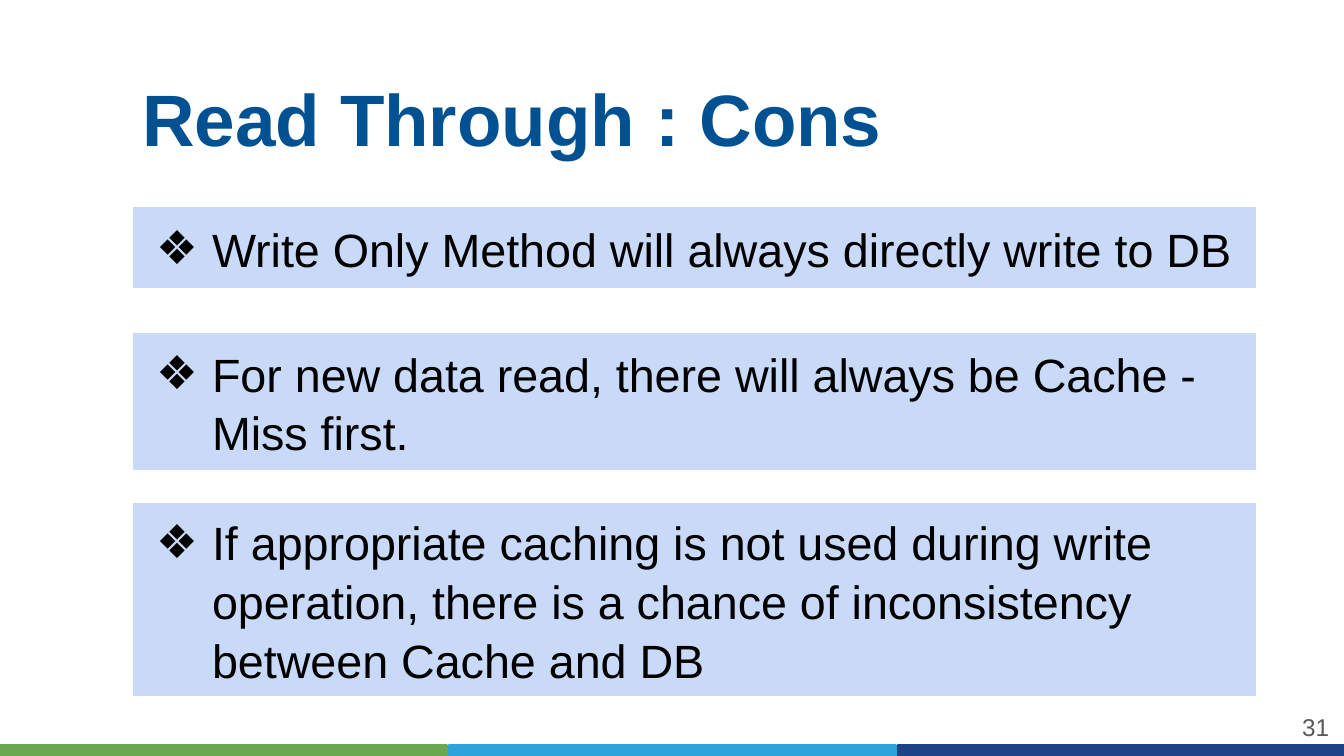
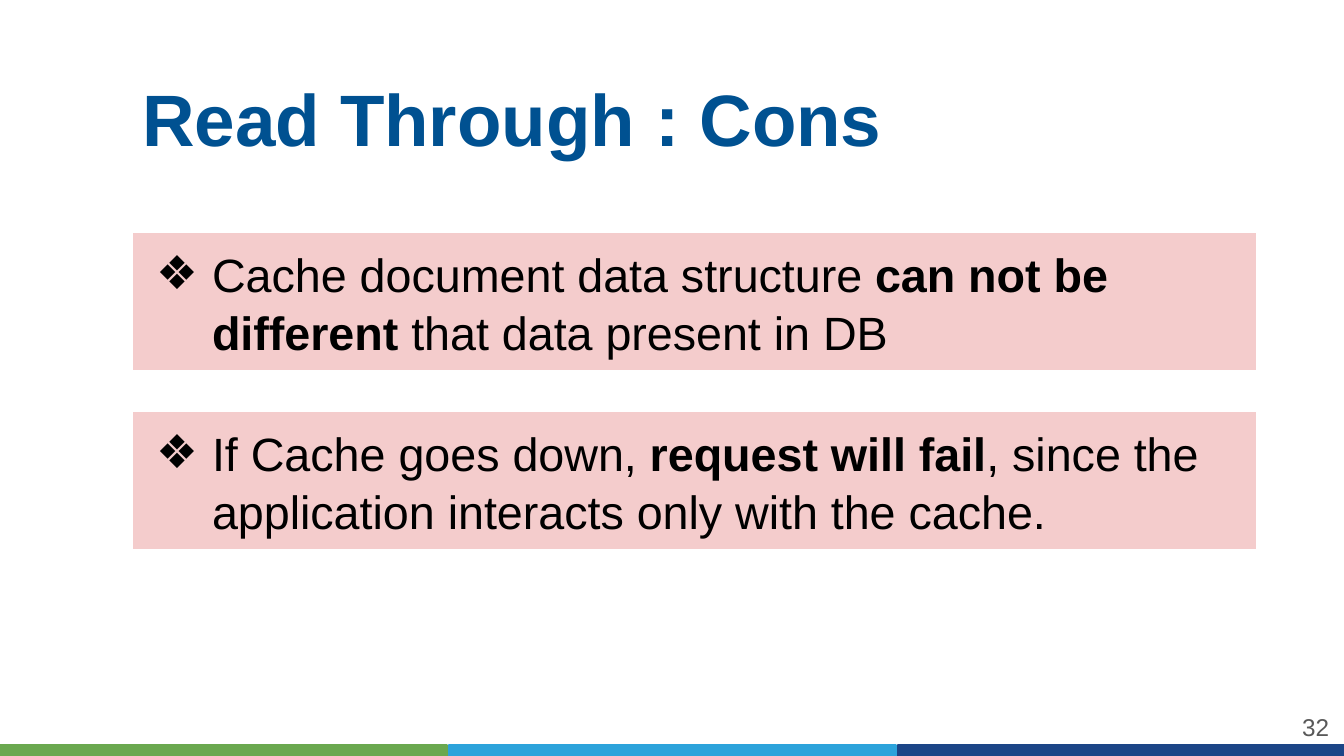
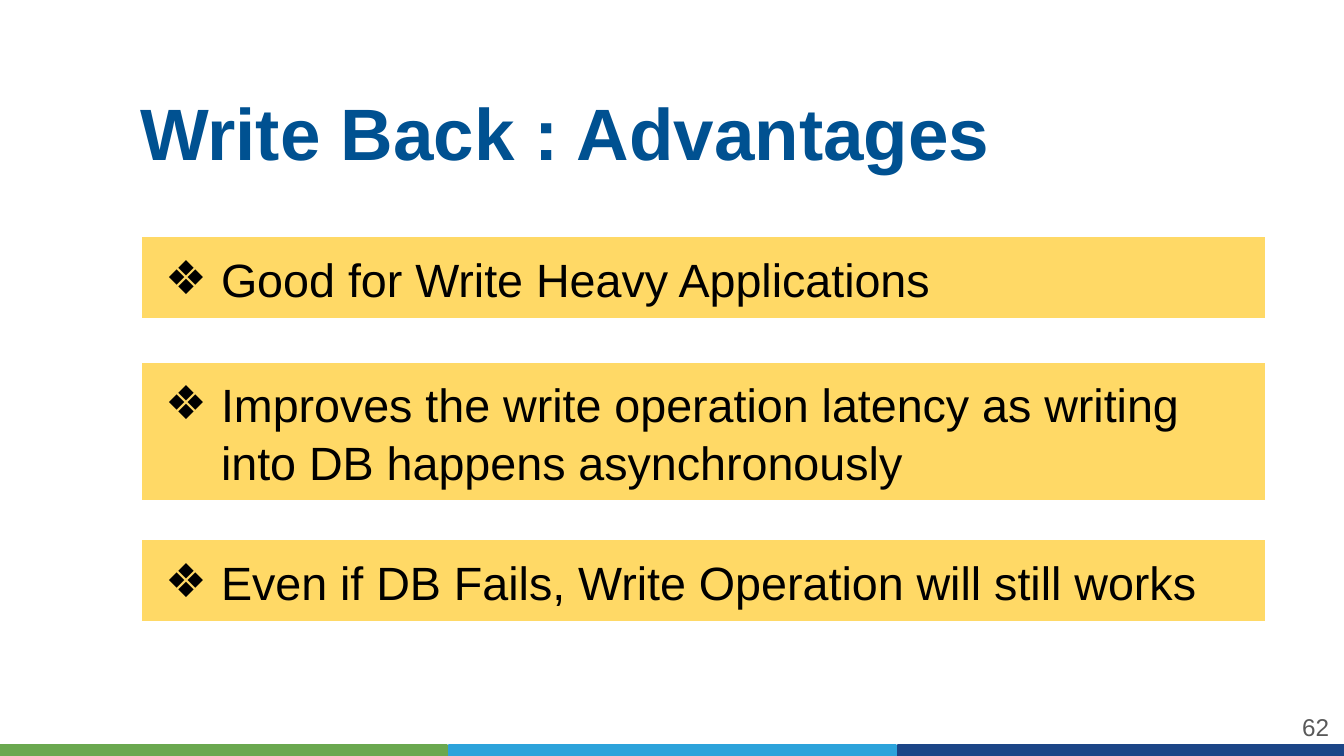
import lxml.etree
import pptx
import pptx.dml.color
import pptx.enum.shapes
import pptx.enum.text
import pptx.oxml.ns
import pptx.util

EMU_PER_PX = 914400 / 134.4
WIDTH, HEIGHT = 1344, 756
FONT = "Arial"
TITLE_COLOR, TEXT_COLOR, NUMBER_COLOR, WHITE = "005191", "000000", "595959", "FFFFFF"
BAR_COLORS = ["6AA84F", "2CA3DB", "1C4587"]
BAR_STEP, BAR_GAP, BAR_TOP = 449, 2, 745
POINT_WIDTH, POINT_PADDING, LINE_HEIGHT = 1125, 27, 56

SLIDES = [
    ("31", "Read Through : Cons", (132, 63), 132, "C9DAF8", [
        (206, 1, "Write Only Method will always directly write to DB"),
        (332, 2, "For new data read, there will always be Cache - Miss first."),
        (502, 3, "If appropriate caching is not used during write operation, "
                 "there is a chance of inconsistency between Cache and DB"),
    ]),
    ("32", "Read Through : Cons", (132, 63), 132, "F4CCCC", [
        (232, 2, "Cache document data structure *can not be different* that data present in DB"),
        (411, 2, "If Cache goes down, *request will fail*, since the application "
                 "interacts only with the cache."),
    ]),
    ("62", "Write Back : Advantages", (130, 77), 141, "FFD966", [
        (236, 1, "Good for Write Heavy Applications"),
        (362, 2, "Improves the write operation latency as writing into DB happens asynchronously"),
        (539, 1, "Even if DB Fails, Write Operation will still works"),
    ]),
]


def px(length):
    return pptx.util.Emu(round(length * EMU_PER_PX))


def color(code):
    return pptx.dml.color.RGBColor.from_string(code)


class Builder:
    """Holds the deck, its shared style and the current page."""

    def __init__(self):
        self.deck = pptx.Presentation()
        self.deck.slide_width, self.deck.slide_height = px(WIDTH), px(HEIGHT)
        self.page = None

    def start_page(self):
        self.page = self.deck.slides.add_slide(self.deck.slide_layouts[5])

    def style_text(self, font, size, code, bold=False):
        font.name, font.size, font.bold = FONT, pptx.util.Pt(size), bold
        font.color.rgb = color(code)

    def prepare_frame(self, box, inset, anchor):
        frame = box.text_frame
        frame.word_wrap = True
        frame.auto_size = pptx.enum.text.MSO_AUTO_SIZE.NONE
        frame.vertical_anchor = anchor
        frame.margin_left = frame.margin_right = px(inset)
        frame.margin_top = frame.margin_bottom = px(inset)
        return frame

    def rectangle(self, left, top, width, height, fill, line):
        box = self.page.shapes.add_shape(
            pptx.enum.shapes.MSO_SHAPE.RECTANGLE, px(left), px(top), px(width), px(height))
        box.shadow.inherit = False
        box.fill.solid()
        box.fill.fore_color.rgb = color(fill)
        box.line.color.rgb = color(line)
        box.line.width = pptx.util.Pt(0.75)
        return box

    def master_bars(self):
        master_tree = self.deck.slide_master.shapes.element
        for index, code in enumerate(BAR_COLORS):
            bar = self.rectangle(index * BAR_STEP, BAR_TOP, BAR_STEP - BAR_GAP,
                                 HEIGHT - BAR_TOP, code, code)
            bar.name = f"Bottom bar {index + 1}"
            bar.element.nvSpPr.cNvPr.set("id", str(101 + index))
            master_tree.append(bar.element)

    def title(self, text, left, top):
        box = self.page.shapes.title
        box.left, box.top, box.width, box.height = px(left), px(top), px(1165), px(108)
        frame = self.prepare_frame(box, 10, pptx.enum.text.MSO_ANCHOR.BOTTOM)
        frame.text = text
        para = frame.paragraphs[0]
        para.alignment = pptx.enum.text.PP_ALIGN.LEFT
        self.style_text(para.runs[0].font, 39, TITLE_COLOR, bold=True)

    def page_number(self, text):
        box = self.page.shapes.add_textbox(px(1258), px(698), px(81), px(58))
        frame = self.prepare_frame(box, 10, pptx.enum.text.MSO_ANCHOR.MIDDLE)
        frame.text = text
        para = frame.paragraphs[0]
        para.alignment = pptx.enum.text.PP_ALIGN.RIGHT
        self.style_text(para.runs[0].font, 13, NUMBER_COLOR)

    def bullet(self, para):
        props = para._p.get_or_add_pPr()
        props.set("marL", str(px(67)))
        props.set("indent", str(-px(56)))
        bullet_color = lxml.etree.SubElement(props, pptx.oxml.ns.qn("a:buClr"))
        lxml.etree.SubElement(bullet_color, pptx.oxml.ns.qn("a:srgbClr"), val=TEXT_COLOR)
        lxml.etree.SubElement(props, pptx.oxml.ns.qn("a:buFont"), typeface=FONT)
        lxml.etree.SubElement(props, pptx.oxml.ns.qn("a:buChar"), char="❖")

    def point(self, left, top, line_count, text, fill):
        height = POINT_PADDING + line_count * LINE_HEIGHT
        box = self.rectangle(left, top, POINT_WIDTH, height, fill, WHITE)
        frame = self.prepare_frame(box, 13, pptx.enum.text.MSO_ANCHOR.MIDDLE)
        para = frame.paragraphs[0]
        para.alignment = pptx.enum.text.PP_ALIGN.LEFT
        para.line_spacing = 1.05
        self.bullet(para)
        for index, part in enumerate(text.split("*")):
            span = para.add_run()
            span.text = part
            self.style_text(span.font, 25, TEXT_COLOR, bold=index % 2 == 1)


def main():
    builder = Builder()
    for index, (number, heading, heading_at, left, fill, points) in enumerate(SLIDES):
        builder.start_page()
        if index == 0:
            builder.master_bars()
        builder.page_number(number)
        builder.title(heading, *heading_at)
        for top, line_count, text in points:
            builder.point(left, top, line_count, text, fill)
    builder.deck.save("out.pptx")


if __name__ == "__main__":
    main()
